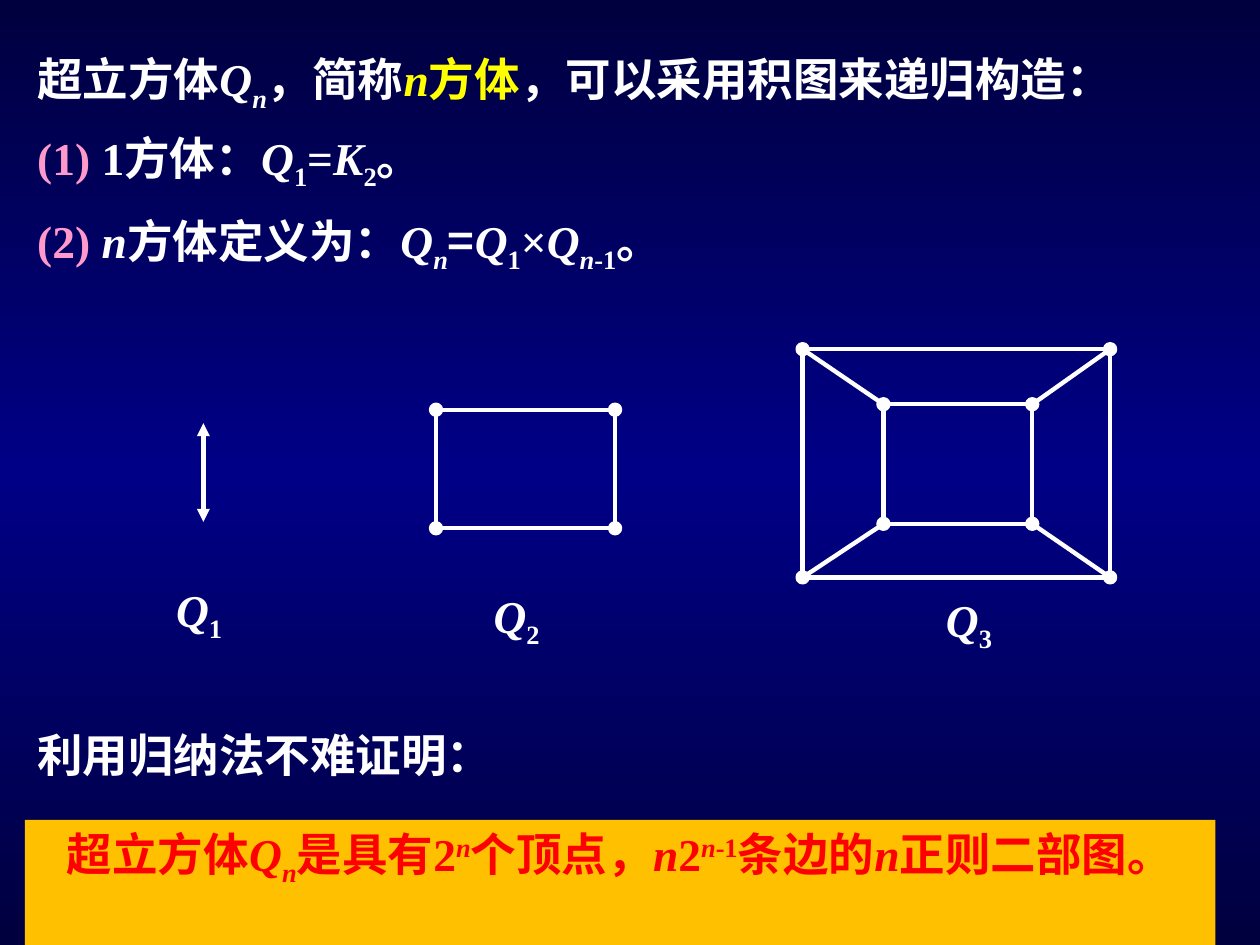
"""Build a slide that defines the hypercube Qn and draws Q1, Q2 and Q3."""
from copy import deepcopy
from itertools import product

from pptx import Presentation
from pptx.dml.color import RGBColor
from pptx.enum.shapes import MSO_CONNECTOR as Link, MSO_SHAPE as Preset
from pptx.enum.text import MSO_ANCHOR as Anchor, PP_ALIGN as Align
from pptx.oxml.ns import qn
from pptx.oxml.xmlchemy import OxmlElement
from pptx.util import Cm, Pt

rgb = RGBColor.from_string
WHITE, YELLOW, PINK, RED, GOLD = "FFFFFF", "FFFF00", "FF99CC", "FF0000", "FFC000"
SERIF, SANS = "Times New Roman", "Noto Sans CJK SC"
BASELINES = {"sub": "-25000", "sup": "30000"}


def write(frame, runs, color=WHITE, align=Align.LEFT):
    """Fill a text frame with (text, style words, optional colour) runs."""
    frame.word_wrap = True
    frame.vertical_anchor = Anchor.TOP
    paragraph = frame.paragraphs[0]
    paragraph.alignment = align
    paragraph._p.get_or_add_pPr().set("hangingPunct", "0")
    for text, style, *own_color in runs:
        run = paragraph.add_run()
        run.text = text
        words = style.split()
        look = {"name": SANS if "sans" in words else SERIF, "size": Pt(26),
                "bold": True, "italic": "italic" in words}
        for key, value in look.items():
            setattr(run.font, key, value)
        run.font.color.rgb = rgb(own_color[0] if own_color else color)
        properties = run.font._element
        east_asian = OxmlElement("a:ea")
        east_asian.set("typeface", SANS)
        properties.find(qn("a:latin")).addnext(east_asian)
        for word in words:
            if word in BASELINES:
                properties.set("baseline", BASELINES[word])


def draw_edge(start, end):
    """Draw a white straight edge between two points given in centimetres."""
    edge = shapes.add_connector(Link.STRAIGHT, *map(Cm, start + end))
    edge.line.color.rgb = rgb(WHITE)
    edge.line.width = Pt(2.5)
    edge._element.spPr.append(OxmlElement("a:effectLst"))
    return edge


deck = Presentation()
deck.slide_width, deck.slide_height = Cm(25.4), Cm(19.05)
slide = deck.slides.add_slide(deck.slide_layouts[6])
shapes = slide.shapes

backdrop = slide.background.fill
backdrop.gradient()
backdrop.gradient_angle = 90
stop_list = slide.element.find(".//" + qn("a:gsLst"))
stop_list.append(deepcopy(stop_list[0]))
for stop, (position, shade) in zip(backdrop.gradient_stops,
                                   [(0, "00003E"), (0.5, "000086"), (1, "00003E")]):
    stop.position = position
    stop.color.rgb = rgb(shade)

statements = [
    (0.91, 24.41, [("超立方体", "sans"), ("Q", "italic"), ("n", "italic sub"),
                   ("，简称", "sans"), ("n", "italic", YELLOW), ("方体", "sans", YELLOW),
                   ("，可以采用积图来递归构造：", "sans")]),
    (2.49, 21.59, [("(1)", "", PINK), (" 1方体：", ""), ("Q", "italic"), ("1", "sub"),
                   ("=", ""), ("K", "italic"), ("2", "sub"), ("。", "")]),
    (4.17, 21.59, [("(2) ", "", PINK), ("n", "italic"), ("方体定义为：", ""),
                   ("Q", "italic"), ("n", "italic sub"), ("=", "sans"), ("Q", "italic"),
                   ("1", "sub"), ("×", ""), ("Q", "italic"), ("n", "italic sub"),
                   ("-1", "sub"), ("。", "")]),
    (14.53, 22.4, [("利用归纳法不难证明：", "")]),
]
for top, width, runs in statements:
    statement = shapes.add_textbox(Cm(0.5), Cm(top), Cm(width), Cm(1.5))
    write(statement.text_frame, runs)

q1_edge = draw_edge((4.1, 8.53), (4.1, 10.52))
for end_tag in ("a:headEnd", "a:tailEnd"):
    arrowhead = OxmlElement(end_tag)
    arrowhead.set("type", "triangle")
    q1_edge.line._get_or_add_ln().append(arrowhead)

q2_square = (8.79, 8.26, 3.61, 2.39)
q3_outer = (16.18, 7.04, 6.2, 4.6)
q3_inner = (17.81, 8.15, 3, 2.41)
dot = 0.2
corners = {}
for square in (q2_square, q3_outer, q3_inner):
    left, top, width, height = square
    corners[square] = list(product((left, left + width), (top, top + height)))
    outline = shapes.add_shape(Preset.RECTANGLE, *map(Cm, square))
    outline.fill.background()
    vertices = [shapes.add_shape(Preset.OVAL, Cm(x - dot / 2), Cm(y - dot / 2), Cm(dot), Cm(dot))
                for x, y in corners[square]]
    for vertex in vertices:
        vertex.fill.solid()
        vertex.fill.fore_color.rgb = rgb(WHITE)
    for part in [outline, *vertices]:
        part.shadow.inherit = False
        part.line.color.rgb = rgb(WHITE)
        part.line.width = Pt(2.5)

for outer, inner in zip(corners[q3_outer], corners[q3_inner]):
    draw_edge(outer, inner)

for index, left, top in [("1", 3.3, 11.61), ("2", 9.7, 11.73), ("3", 18.82, 11.81)]:
    graph_label = shapes.add_textbox(Cm(left), Cm(top), Cm(2.2), Cm(1.5))
    write(graph_label.text_frame, [("Q", "italic"), (index, "sub")])

conclusion = shapes.add_shape(Preset.RECTANGLE, Cm(0.5), Cm(16.53), Cm(24), Cm(2.52))
conclusion.shadow.inherit = False
conclusion.fill.solid()
conclusion.fill.fore_color.rgb = rgb(GOLD)
conclusion.line.fill.background()
for side in ("margin_left", "margin_right"):
    setattr(conclusion.text_frame, side, Cm(0.5))
write(conclusion.text_frame, [
    ("超立方体", ""), ("Q", "italic"), ("n", "italic sub"), ("是具有", "sans"), ("2", ""),
    ("n", "italic sup"), ("个顶点，", ""), ("n", "italic"), ("2", ""), ("n", "italic sup"),
    ("-1", "sup"), ("条边的", ""), ("n", "italic"), ("正则二部图", ""), ("。", "sans"),
], RED, Align.CENTER)

deck.save("out.pptx")
